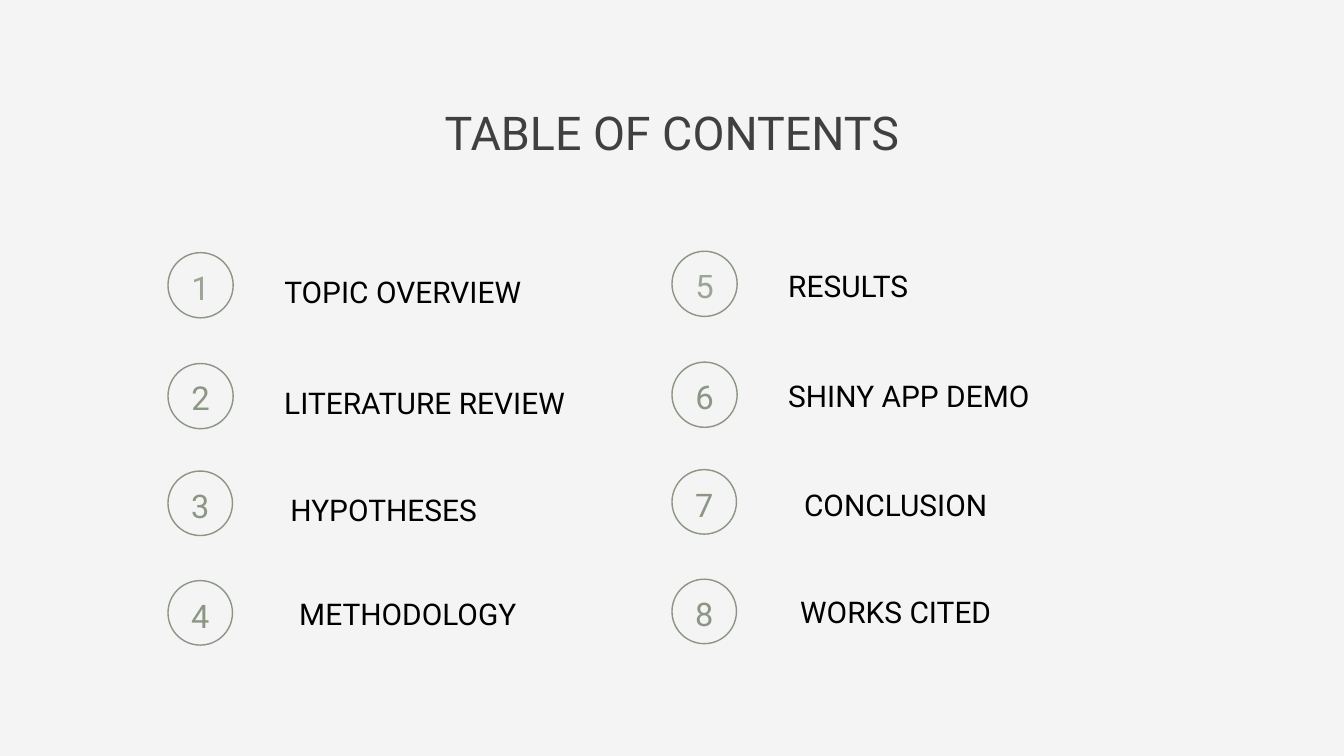
from lxml import etree
from pptx import Presentation
from pptx import util as u
from pptx.dml import color
from pptx.enum import shapes, text
from pptx.oxml import ns

COLORS = {"bg": "F4F4F4", "title": "404040", "label": "000000", "sage": "8B9684"}
LEFT, CENTER = text.PP_ALIGN.LEFT, text.PP_ALIGN.CENTER


def rgb(name):
    return color.RGBColor.from_string(COLORS[name])


def write(tf, content, size=32, fill="label", align=LEFT, spacing=39, alpha=None):
    """Put one formatted line of text into a text frame."""
    tf.margin_left = tf.margin_top = tf.margin_right = tf.margin_bottom = 0
    tf.word_wrap = True
    tf.auto_size = text.MSO_AUTO_SIZE.SHAPE_TO_FIT_TEXT
    p = tf.paragraphs[0]
    p.alignment = align
    p.line_spacing = u.Pt(spacing)
    r = p.add_run()
    r.text = content
    r.font.name = "Roboto"
    r.font.size = u.Pt(size)
    r.font.color.rgb = rgb(fill)
    if alpha:
        clr = r.font._element.find(".//" + ns.qn("a:srgbClr"))
        etree.SubElement(clr, ns.qn("a:alpha")).set("val", str(alpha * 1000))


class Deck:
    """Holds the presentation, its style and the current slide."""

    def __init__(self, width, height):
        self.prs = Presentation()
        self.prs.slide_width, self.prs.slide_height = u.Pt(width), u.Pt(height)
        self.s = self.prs.slides.add_slide(self.prs.slide_layouts[6])
        fill = self.s.background.fill
        fill.solid()
        fill.fore_color.rgb = rgb("bg")

    def text(self, content, x, y, w, h, parent=None, **fmt):
        box = (parent or self.s).shapes.add_textbox(u.Pt(x), u.Pt(y), u.Pt(w), u.Pt(h))
        write(box.text_frame, content, **fmt)

    def badge(self, number, x, y, d, dy, inset, h, **fmt):
        group = self.s.shapes.add_group_shape()
        sp = group.shapes.add_shape(shapes.MSO_SHAPE.OVAL, u.Pt(x), u.Pt(y), u.Pt(d), u.Pt(d))
        sp.shadow.inherit = False
        sp.fill.background()
        sp.line.color.rgb = rgb("sage")
        sp.line.width = u.Pt(1.5)
        self.text(str(number), x + inset, y + dy, d - 2 * inset, h, group,
                  fill="sage", align=CENTER, **fmt)


def main():
    first = dict(d=69.84, dy=8.5, inset=5.76, h=47.5, size=35.2, spacing=49.4, alpha=83)
    second = dict(d=69.84, dy=8.3, inset=0, h=47.5, size=35.2, spacing=49.3)
    lower = dict(d=69.12, dy=9.36, inset=0, h=46, size=34.8, spacing=48.7)
    rows = [(270.72, first), (389.52, second), (504.72, lower), (622.08, lower)]
    columns = [
        (180, 0, [("TOPIC OVERVIEW", 293.04, 293.8, LEFT),
                  ("LITERATURE REVIEW", 411.12, 333.4, LEFT),
                  ("HYPOTHESES", 526.32, 213.1, CENTER),
                  ("METHODOLOGY ", 637.92, 272.9, CENTER)]),
        (720, -1.5, [("RESULTS", 286.56, 213.1, LEFT),
                     ("SHINY APP DEMO", 403.92, 283.7, LEFT),
                     ("CONCLUSION", 520.56, 230.4, CENTER),
                     ("WORKS CITED", 635.04, 230.4, CENTER)]),
    ]
    deck = Deck(1440, 810)
    deck.text("TABLE OF CONTENTS", 396.7, 110.9, 646.6, 60.5,
              size=49.9, fill="title", align=CENTER, spacing=60.9)
    for col, (x, shift, labels) in enumerate(columns):
        for row, ((y, style), (label, top, w, align)) in enumerate(zip(rows, labels)):
            deck.badge(col * len(rows) + row + 1, x, y + shift, **style)
            deck.text(label, x + 124.56, top, w, 38.9, align=align)
    deck.prs.save("out.pptx")


if __name__ == "__main__":
    main()
